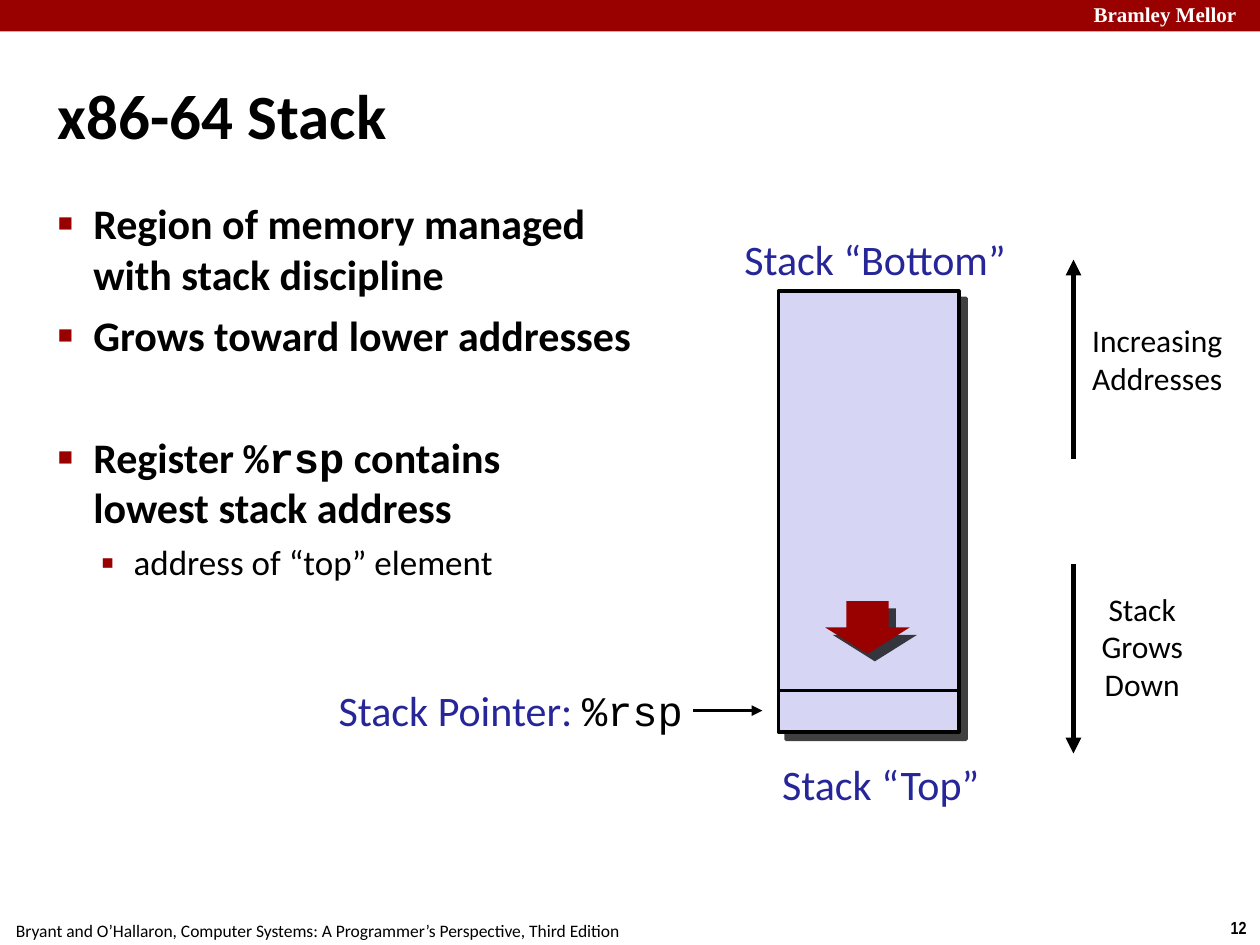
from lxml.etree import SubElement
from pptx import Presentation
from pptx.dml.color import RGBColor
from pptx.enum.shapes import MSO_CONNECTOR, MSO_SHAPE
from pptx.enum.text import MSO_ANCHOR, MSO_AUTO_SIZE, PP_ALIGN
from pptx.oxml.ns import qn
from pptx.util import Inches, Pt


def color(value):
    return RGBColor.from_string(value)


class SlideBuilder:
    BLACK = "000000"
    WHITE = "FFFFFF"
    RED = "990000"
    BLUE = "262699"
    LAVENDER = "D6D6F4"
    FONT = "Calibri"
    MONO = "Courier New"
    BULLETS = [("■", 60, 0.28, 0.28), ("▪", 110, 0.6, 0.26)]

    def __init__(self, slide):
        self.s = slide

    def font(self, target, size, fill=BLACK, bold=False, name=FONT):
        f = target.font
        f.name, f.size, f.bold = name, Pt(size), bold
        f.color.rgb = color(fill)

    def frame(self, sp, box, margin=0.04, wrap=True, anchor=MSO_ANCHOR.TOP):
        sp.left, sp.top, sp.width, sp.height = map(Inches, box)
        tf = sp.text_frame
        tf.word_wrap = wrap
        tf.auto_size = MSO_AUTO_SIZE.NONE
        tf.vertical_anchor = anchor
        tf.margin_left = tf.margin_right = Inches(margin)
        tf.margin_top = tf.margin_bottom = Inches(min(margin, 0.05))
        return tf

    def title(self, text, box):
        p = self.frame(self.s.shapes.title, box, anchor=MSO_ANCHOR.MIDDLE).paragraphs[0]
        p.text = text
        p.alignment = PP_ALIGN.LEFT
        self.font(p, 36, bold=True)

    def bullet(self, p, level):
        char, percent, margin, hang = self.BULLETS[level]
        p.level = level
        pPr = p._p.get_or_add_pPr()
        pPr.set("marL", str(Inches(margin)))
        pPr.set("indent", str(-Inches(hang)))
        fill = SubElement(pPr, qn("a:buClr"))
        SubElement(fill, qn("a:srgbClr"), val=self.RED)
        SubElement(pPr, qn("a:buSzPct"), val=str(percent * 1000))
        SubElement(pPr, qn("a:buFont"), typeface="Arial")
        SubElement(pPr, qn("a:buChar"), char=char)

    def body(self, items, box):
        tf = self.frame(self.s.placeholders[1], box)
        for i, (level, before, parts) in enumerate(items):
            p = tf.paragraphs[0] if i == 0 else tf.add_paragraph()
            self.bullet(p, level)
            p.space_before = Pt(before)
            self.font(p, 20 if level else 24, bold=level == 0)
            for text, name in parts:
                if text == "\n":
                    p.add_line_break()
                    continue
                r = p.add_run()
                r.text = text
                if name != self.FONT:
                    r.font.name = name

    def text(self, lines, box, size, fill=BLACK, bold=False, name=FONT,
             align=PP_ALIGN.CENTER, margin=0.04, wrap=False):
        tf = self.frame(self.s.shapes.add_textbox(0, 0, 0, 0), box, margin, wrap)
        for i, line in enumerate(lines):
            p = tf.paragraphs[0] if i == 0 else tf.add_paragraph()
            p.text = line
            p.alignment = align
            self.font(p, size, fill, bold, name)
        return tf

    def pointer_label(self, label, register, box):
        p = self.text([""], box, 24, align=PP_ALIGN.RIGHT).paragraphs[0]
        for text, fill, name in ((label, self.BLUE, self.FONT),
                                 (register, self.BLACK, self.MONO)):
            r = p.add_run()
            r.text = text
            self.font(r, 24, fill, name=name)

    def shape(self, kind, box, fill, border=None, shadow=False):
        sp = self.s.shapes.add_shape(kind, *map(Inches, box))
        sp.shadow.inherit = False
        sp.fill.solid()
        sp.fill.fore_color.rgb = color(fill)
        if border:
            sp.line.color.rgb = color(self.BLACK)
            sp.line.width = Pt(border)
        else:
            sp.line.fill.background()
        if shadow:
            effects = sp._element.spPr.find(qn("a:effectLst"))
            outer = SubElement(effects, qn("a:outerShdw"), dist=str(Pt(6)),
                               dir="2700000", algn="ctr", rotWithShape="0")
            rgb = SubElement(outer, qn("a:srgbClr"), val=self.BLACK)
            SubElement(rgb, qn("a:alpha"), val="75000")

    def line(self, x1, y1, x2, y2, width, arrow=True):
        c = self.s.shapes.add_connector(MSO_CONNECTOR.STRAIGHT,
                                        *map(Inches, (x1, y1, x2, y2)))
        c.line.color.rgb = color(self.BLACK)
        c.line.width = Pt(width)
        if arrow:
            SubElement(c.line._get_or_add_ln(), qn("a:tailEnd"), type="triangle")
        SubElement(c._element.spPr, qn("a:effectLst"))


def main():
    prs = Presentation()
    prs.slide_width, prs.slide_height = Inches(10), Inches(7.5)
    b = SlideBuilder(prs.slides.add_slide(prs.slide_layouts[1]))

    b.shape(MSO_SHAPE.RECTANGLE, (0, 0, 10, 0.25), b.RED)
    b.text(["Bramley Mellor"], (8.64, -0.03, 1.44, 0.28), 12, b.WHITE, True,
           "Times New Roman", PP_ALIGN.LEFT)
    b.text(["Bryant and O’Hallaron, Computer Systems: A Programmer’s Perspective, Third Edition"],
           (-0.02, 7.25, 5.08, 0.27), 10, margin=0.1)
    b.text(["12"], (9.66, 7.23, 0.34, 0.27), 10, bold=True, name="Arial Narrow", margin=0.1)

    b.title("x86-64 Stack", (0.42, 0.28, 9.17, 1.25))
    b.body([
        (0, 6, [("Region of memory managed with stack discipline", b.FONT)]),
        (0, 6, [("Grows toward lower addresses", b.FONT)]),
        (0, 41, [("Register ", b.FONT), ("%rsp", b.MONO), (" contains", b.FONT),
                 ("\n", b.FONT), ("lowest stack address", b.FONT)]),
        (1, 5, [("address of “top” element", b.FONT)]),
    ], (0.42, 1.53, 4.88, 5.94))

    left, top, width, height = stack = (6.18, 2.31, 1.43, 3.5)
    divider = 5.48
    b.shape(MSO_SHAPE.RECTANGLE, stack, b.LAVENDER, border=2, shadow=True)
    b.line(left, divider, left + width, divider, 2, arrow=False)
    b.shape(MSO_SHAPE.DOWN_ARROW, (6.55, 4.77, 0.67, 0.42), b.RED, shadow=True)
    b.text(["Stack “Bottom”"], (5.83, 1.81, 2.23, 0.49), 24, b.BLUE)
    b.text(["Stack “Top”"], (6.14, 5.98, 1.7, 0.49), 24, b.BLUE)

    b.pointer_label("Stack Pointer: ", "%rsp", (2.58, 5.39, 2.88, 0.5))
    b.line(5.5, 5.64, 6.05, 5.64, 2)

    axis = 8.52
    b.line(axis, 3.64, axis, 2.06, 3)
    b.text(["Increasing", "Addresses"], (8.62, 2.51, 1.13, 0.69), 18)
    b.line(axis, 4.48, axis, 5.98, 3)
    b.text(["Stack Grows", "Down"], (8.62, 4.64, 0.89, 1), 18, wrap=True)

    prs.save("out.pptx")


if __name__ == "__main__":
    main()
